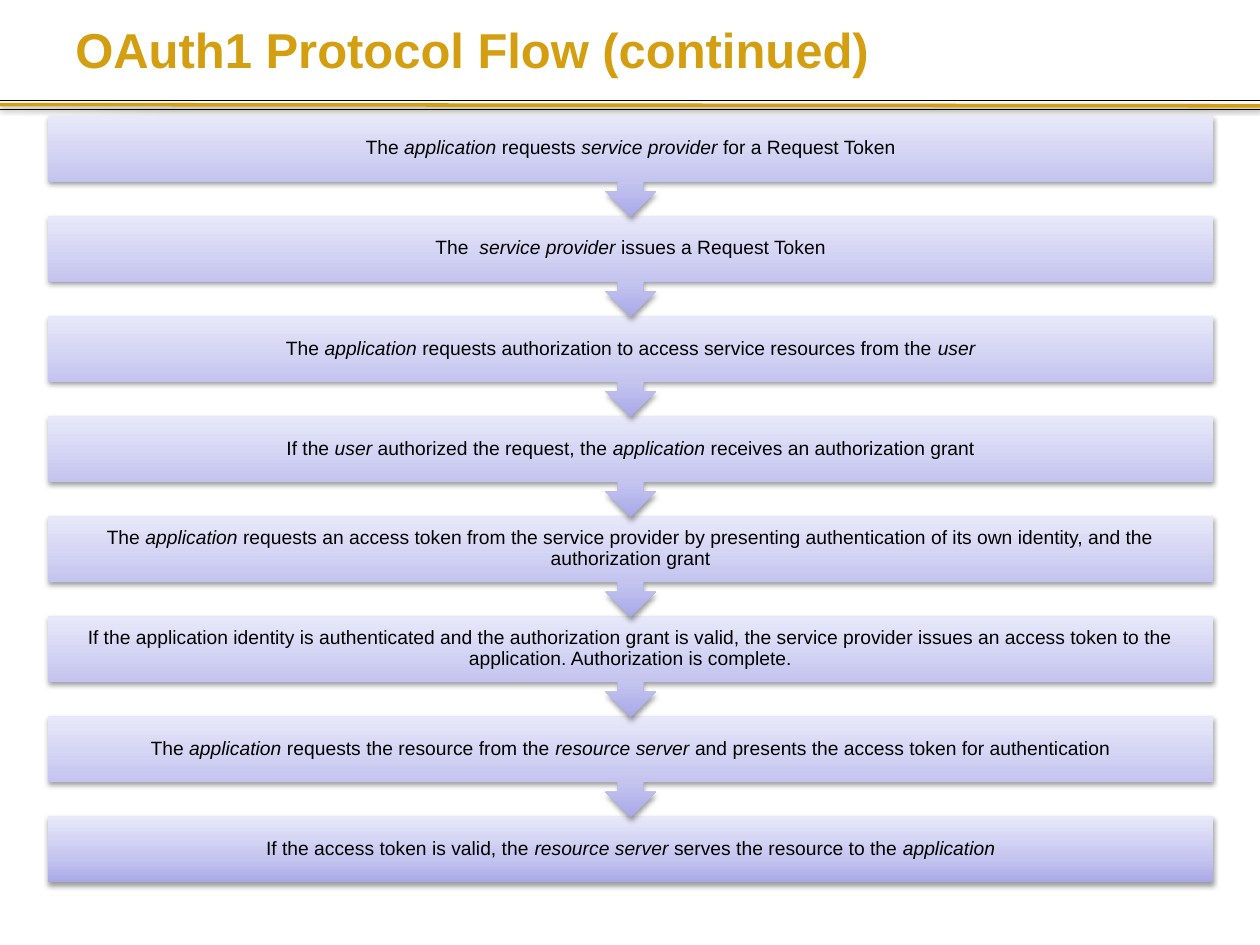
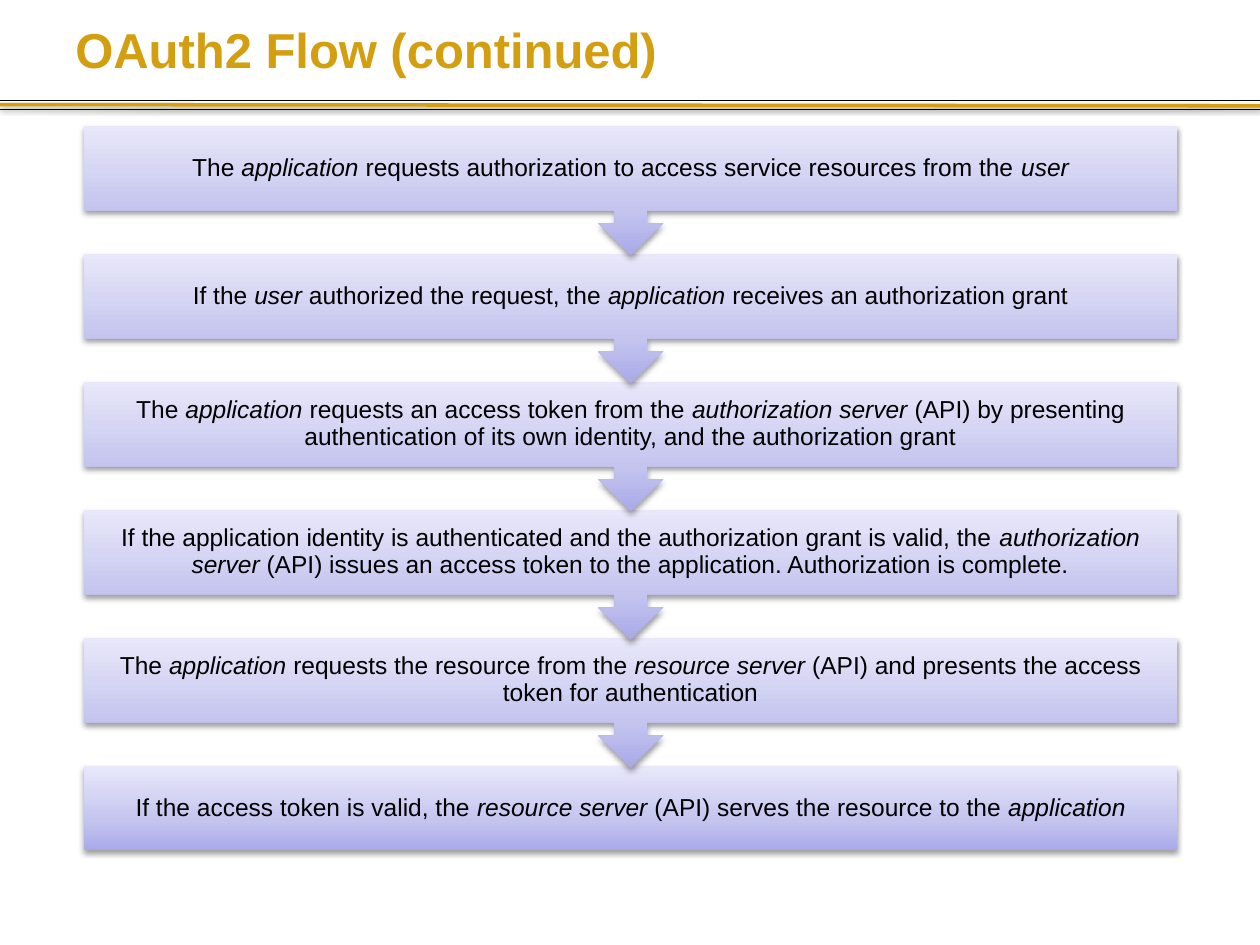
from copy import deepcopy

from lxml.etree import SubElement
from pptx import Presentation
from pptx.dml.color import RGBColor as Rgb
from pptx.enum.shapes import MSO_CONNECTOR as Connector, MSO_SHAPE as Shape
from pptx.enum.text import MSO_ANCHOR as Anchor, PP_ALIGN as Align
from pptx.oxml.ns import qn
from pptx.util import Inches, Pt

COLORS = {"gold": "D39E10", "black": "000000",
          "deep": "A9A9E9", "mid": "C4C4EF", "pale": "E8E8FA"}
STEP_GRADIENT = [(0, "deep"), (0.35, "mid"), (1, "pale")]
HEADER_RULES = [(0.83, 0.84, "gold", 2, True),
                (0.8, 0.8, "black", 0.75, False),
                (0.87, 0.87, "black", 0.75, False)]
BOX_SHARE = 0.65

FLOWS = [
    {
        "title": "OAuth1 Protocol Flow (continued)",
        "left": 0.38, "width": 9.25, "first_top": 0.92, "last_top": 6.48,
        "box_height": 0.52, "size": 11, "inset": 0.09,
        "steps": [
            "The *application* requests *service provider* for a Request Token",
            "The  *service provider* issues a Request Token",
            "The *application* requests authorization to access service resources from the *user*",
            "If the *user* authorized the request, the *application* receives an authorization grant",
            "The *application* requests an access token from the service provider by presenting "
            "authentication of its own identity, and the authorization grant",
            "If the application identity is authenticated and the authorization grant is valid, "
            "the service provider issues an access token to the application. "
            "Authorization is complete.",
            "The *application* requests the resource from the *resource server* and presents "
            "the access token for authentication",
            "If the access token is valid, the *resource server* serves the resource "
            "to the *application*",
        ],
    },
    {
        "title": "OAuth2 Flow (continued)",
        "left": 0.67, "width": 8.67, "first_top": 1, "last_top": 6.08,
        "box_height": 0.67, "size": 14, "inset": 0.11,
        "steps": [
            "The *application* requests authorization to access service resources from the *user*",
            "If the *user* authorized the request, the *application* receives an authorization grant",
            "The *application* requests an access token from the *authorization server* (API) "
            "by presenting authentication of its own identity, and the authorization grant",
            "If the application identity is authenticated and the authorization grant is valid, "
            "the *authorization server* (API) issues an access token to the application. "
            "Authorization is complete.",
            "The *application* requests the resource from the *resource server* (API) "
            "and presents the access token for authentication",
            "If the access token is valid, the *resource server* (API) serves the resource "
            "to the *application*",
        ],
    },
]


def rgb(name):
    """Return the named palette colour."""
    return Rgb.from_string(COLORS[name])


def set_shadow(element, visible):
    """Replace the theme shadow with a soft drop shadow or with none."""
    effects = SubElement(element.spPr, qn("a:effectLst"))
    if visible:
        shadow = SubElement(effects, qn("a:outerShdw"), blurRad=str(Pt(3.1)),
                            dist=str(Pt(1.6)), dir="5400000", rotWithShape="0")
        color = SubElement(shadow, qn("a:srgbClr"), val=COLORS["black"])
        SubElement(color, qn("a:alpha"), val="38000")


def write_text(frame, text, size, color="black", bold=False, align=Align.LEFT,
               spacing=1.0, inset_x=0.1, inset_y=0.05):
    """Write one paragraph, with the parts between asterisks in italics."""
    frame.word_wrap = True
    frame.vertical_anchor = Anchor.MIDDLE
    frame.margin_left = frame.margin_right = Inches(inset_x)
    frame.margin_top = frame.margin_bottom = Inches(inset_y)
    paragraph = frame.paragraphs[0]
    paragraph.alignment = align
    paragraph.line_spacing = spacing
    for index, part in enumerate(text.split("*")):
        if part:
            run = paragraph.add_run()
            run.text = part
            run.font.name = "Arial"
            run.font.size = Pt(size)
            run.font.bold = bold
            run.font.italic = index % 2 == 1
            run.font.color.rgb = rgb(color)


def add_rule(slide, start_y, end_y, color, weight, shadowed):
    """Draw a header rule across the slide."""
    rule = slide.shapes.add_connector(Connector.STRAIGHT, Inches(0), Inches(start_y),
                                      Inches(10), Inches(end_y))
    rule.line.color.rgb = rgb(color)
    rule.line.width = Pt(weight)
    set_shadow(rule._element, shadowed)


def add_header(slide, title):
    """Add the rules and the title that every slide shares."""
    for rule in HEADER_RULES:
        add_rule(slide, *rule)
    heading = slide.shapes.add_textbox(Inches(0.5), Inches(0), Inches(9), Inches(0.78))
    write_text(heading.text_frame, title, size=28, color="gold", bold=True)


def fill_gradient(step):
    """Shade a step from deep at the bottom to pale at the top."""
    step.fill.gradient()
    step.fill.gradient_angle = 90
    stop_list = step._element.spPr.find(".//" + qn("a:gsLst"))
    stop_list.append(deepcopy(stop_list[0]))
    for stop, (position, color) in zip(step.fill.gradient_stops, STEP_GRADIENT):
        stop.position = position
        stop.color.rgb = rgb(color)


def add_step(slide, flow, text, top, is_last):
    """Add one step, with an arrow to the next unless it is the last."""
    outline = Shape.RECTANGLE if is_last else Shape.DOWN_ARROW_CALLOUT
    height = flow["box_height"] if is_last else flow["box_height"] / BOX_SHARE
    step = slide.shapes.add_shape(outline, Inches(flow["left"]), Inches(top),
                                  Inches(flow["width"]), Inches(height))
    fill_gradient(step)
    step.line.fill.background()
    set_shadow(step._element, True)
    write_text(step.text_frame, text, size=flow["size"], align=Align.CENTER, spacing=0.9,
               inset_x=flow["inset"], inset_y=flow["inset"])


def add_flow(slide, flow):
    """Stack the steps at an equal pitch, the last one at the back."""
    last = len(flow["steps"]) - 1
    pitch = (flow["last_top"] - flow["first_top"]) / last
    for index in range(last, -1, -1):
        add_step(slide, flow, flow["steps"][index], flow["first_top"] + index * pitch,
                 index == last)


def main():
    """Build the slides and save them."""
    deck = Presentation()
    deck.slide_width, deck.slide_height = Inches(10), Inches(7.5)
    for flow in FLOWS:
        slide = deck.slides.add_slide(deck.slide_layouts[6])
        add_header(slide, flow["title"])
        add_flow(slide, flow)
    deck.save("out.pptx")


if __name__ == "__main__":
    main()
